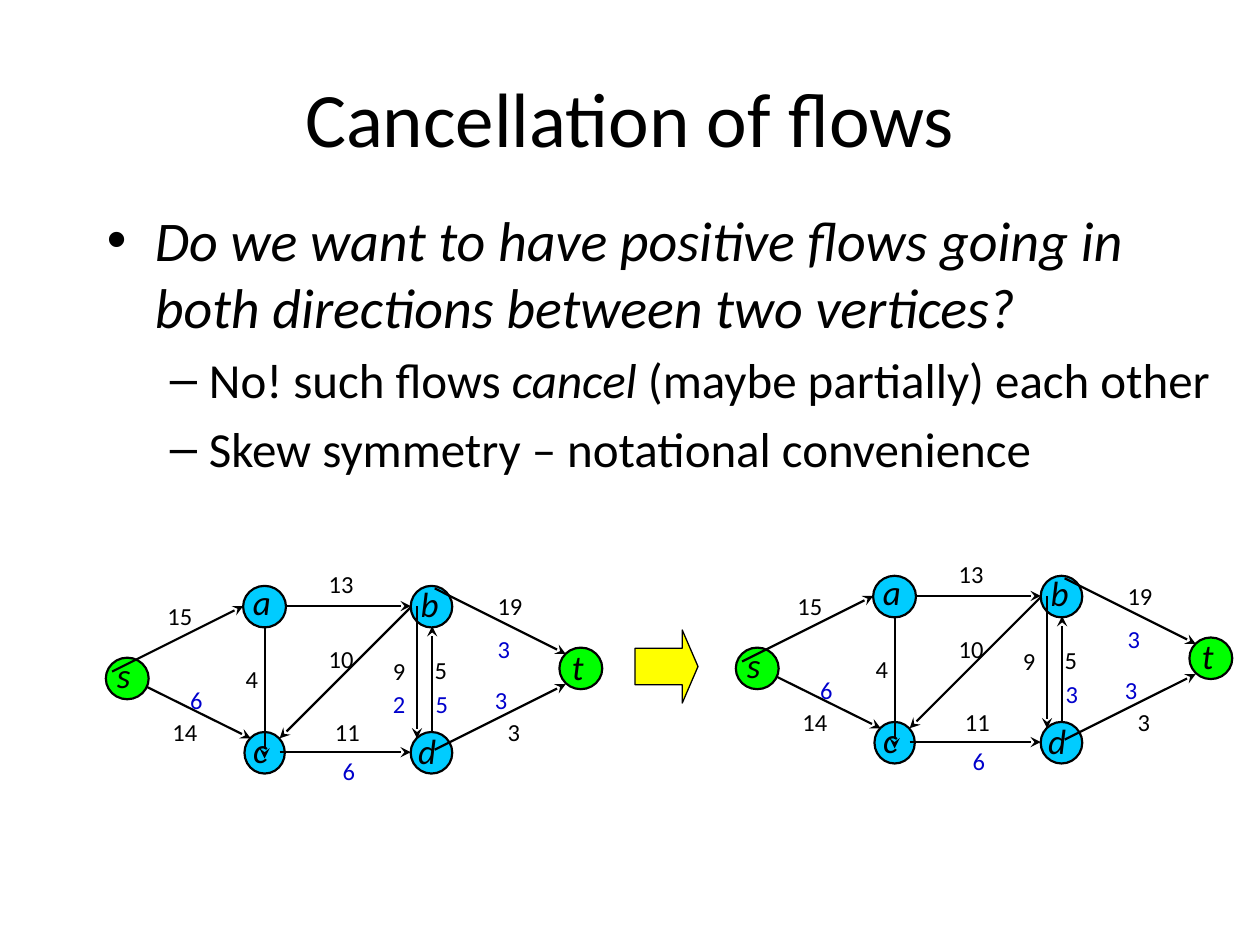
import lxml.etree
import pptx
import pptx.dml.color
import pptx.enum.shapes
import pptx.enum.text
import pptx.oxml.ns
import pptx.util

BLACK = pptx.dml.color.RGBColor(0, 0, 0)
BLUE = pptx.dml.color.RGBColor(0x00, 0x00, 0xCC)
CYAN = pptx.dml.color.RGBColor(0x00, 0xCC, 0xFF)
GREEN = pptx.dml.color.RGBColor(0x00, 0xFF, 0x00)
YELLOW = pptx.dml.color.RGBColor(0xFF, 0xFF, 0x00)
SCALE = 9144
FORM = pptx.enum.shapes.MSO_SHAPE
ALIGN = pptx.enum.text.PP_ALIGN
ANCHOR = pptx.enum.text.MSO_ANCHOR

NODES = [
    ("b", 326, 465, 33, CYAN, (324, 457, 38)),
    ("a", 193, 465, 34, CYAN, (191, 456, 37)),
    ("c", 194, 581, 32, CYAN, (191, 573, 35)),
    ("d", 326, 581, 33, CYAN, (322, 574, 38)),
    ("s", 84, 522, 34, GREEN, (83, 514, 35)),
    ("t", 444, 514, 34, GREEN, (444, 507, 31)),
]
UNDER = [(222, 481, 326, 481), (343, 602, 343, 497), (94, 534, 199, 586)]
OVER = [
    (222, 597, 326, 597), (210, 497, 210, 602), (89, 533, 193, 481),
    (326, 482, 222, 586), (331, 481, 331, 586), (345, 467, 449, 519),
    (345, 595, 449, 543),
]
LIMITS = [
    ("13", 251, 447), ("11", 256, 564), ("5", 335, 515), ("4", 185, 522),
    ("15", 123, 472), ("10", 251, 506), ("14", 127, 564), ("19", 385, 464),
    ("3", 393, 564), ("9", 302, 516),
]
FLOWS = [("3", 385, 498), ("3", 383, 539), ("6", 262, 595), ("6", 141, 539)]
BEFORE = [("2", 302, 542), ("5", 336, 542)]
AFTER = [("3", 336, 542)]


class Deck:
    def __init__(self, wide, high):
        self.file = pptx.Presentation()
        self.file.slide_width = self.px(wide)
        self.file.slide_height = self.px(high)
        self.slide = self.file.slides.add_slide(self.file.slide_layouts[6])
        self.face = "Calibri"

    def px(self, *marks):
        sizes = [pptx.util.Emu(mark * SCALE) for mark in marks]
        return sizes if len(sizes) > 1 else sizes[0]

    def node(self, par, tag, **attrs):
        return lxml.etree.SubElement(par, pptx.oxml.ns.qn(tag), **attrs)

    def frame(self, *place):
        frame = self.slide.shapes.add_textbox(*self.px(*place)).text_frame
        frame.word_wrap = True
        return frame

    def run(self, para, text, size, color=BLACK, slant=False):
        run = para.add_run()
        run.text = text
        font = run.font
        font.name = self.face
        font.size = pptx.util.Pt(size)
        font.italic = slant
        font.color.rgb = color

    def title(self, text, *place):
        frame = self.frame(*place)
        frame.vertical_anchor = ANCHOR.MIDDLE
        para = frame.paragraphs[0]
        para.alignment = ALIGN.CENTER
        self.run(para, text, 44)

    def body(self, items, *place):
        frame = self.frame(*place)
        for rank, (level, parts) in enumerate(items):
            para = frame.add_paragraph() if rank else frame.paragraphs[0]
            left, hang, size, mark = (
                (81, 31, 28, "–") if level else (38, 38, 32, "•"))
            para.level = level
            para.space_before = pptx.util.Pt(5.6 if level else 0)
            props = para._p.get_or_add_pPr()
            props.set("marL", str(self.px(left)))
            props.set("indent", str(-self.px(hang)))
            tint = self.node(props, "a:buClr")
            self.node(tint, "a:srgbClr", val=str(BLACK))
            self.node(props, "a:buFont", typeface="Arial")
            self.node(props, "a:buChar", char=mark)
            for text, slant in parts:
                self.run(para, text, size, slant=slant)

    def label(self, text, x, y, wide, high, size, color=BLACK, slant=False):
        frame = self.frame(x, y, wide, high)
        self.run(frame.paragraphs[0], text, size, color, slant)

    def shape(self, form, place, fill, weight):
        shape = self.slide.shapes.add_shape(form, *self.px(*place))
        shape.shadow.inherit = False
        shape.fill.solid()
        shape.fill.fore_color.rgb = fill
        shape.line.color.rgb = BLACK
        shape.line.width = pptx.util.Pt(weight)
        return shape

    def edge(self, *ends):
        edge = self.slide.shapes.add_connector(
            pptx.enum.shapes.MSO_CONNECTOR.STRAIGHT, *self.px(*ends))
        edge.line.color.rgb = BLACK
        edge.line.width = pptx.util.Pt(1.25)
        props = edge._element.spPr
        self.node(props.find(pptx.oxml.ns.qn("a:ln")), "a:tailEnd", type="stealth")
        self.node(props, "a:effectLst")

    def graph(self, dx, dy, flows):
        def edges(group):
            for x, y, right, low in group:
                self.edge(x + dx, y + dy, right + dx, low + dy)

        edges(UNDER)
        for name, x, y, wide, fill, spot in NODES:
            self.shape(FORM.OVAL, (x + dx, y + dy, wide, 33), fill, 1.25)
        edges(OVER)
        for name, x, y, wide, fill, (left, top, span) in NODES:
            self.label(name, left + dx, top + dy, span, 43, 20, slant=True)
        for group, color in ((LIMITS, BLACK), (flows, BLUE)):
            for text, x, y in group:
                wide = 45 if len(text) > 1 else 32
                self.label(text, x + dx, y + dy, wide, 33, 14, color)


def main():
    deck = Deck(1000, 750)
    deck.title("Cancellation of flows", 50, 30, 900, 125)
    deck.body([
        (0, [("Do we want to have positive flows going in both directions "
              "between two vertices?", True)]),
        (1, [("No! such flows ", False), ("cancel", True),
             (" (maybe partially) each other", False)]),
        (1, [("Skew symmetry – notational convenience", False)]),
    ], 75, 158, 912, 250)
    deck.graph(0, 0, FLOWS + BEFORE)
    arrow = deck.shape(FORM.RIGHT_ARROW, (504, 500, 50, 58), YELLOW, 0.75)
    arrow.adjustments[0] = 0.5
    arrow.adjustments[1] = 0.25
    deck.graph(500, -8, FLOWS + AFTER)
    deck.file.save("out.pptx")


if __name__ == "__main__":
    main()
